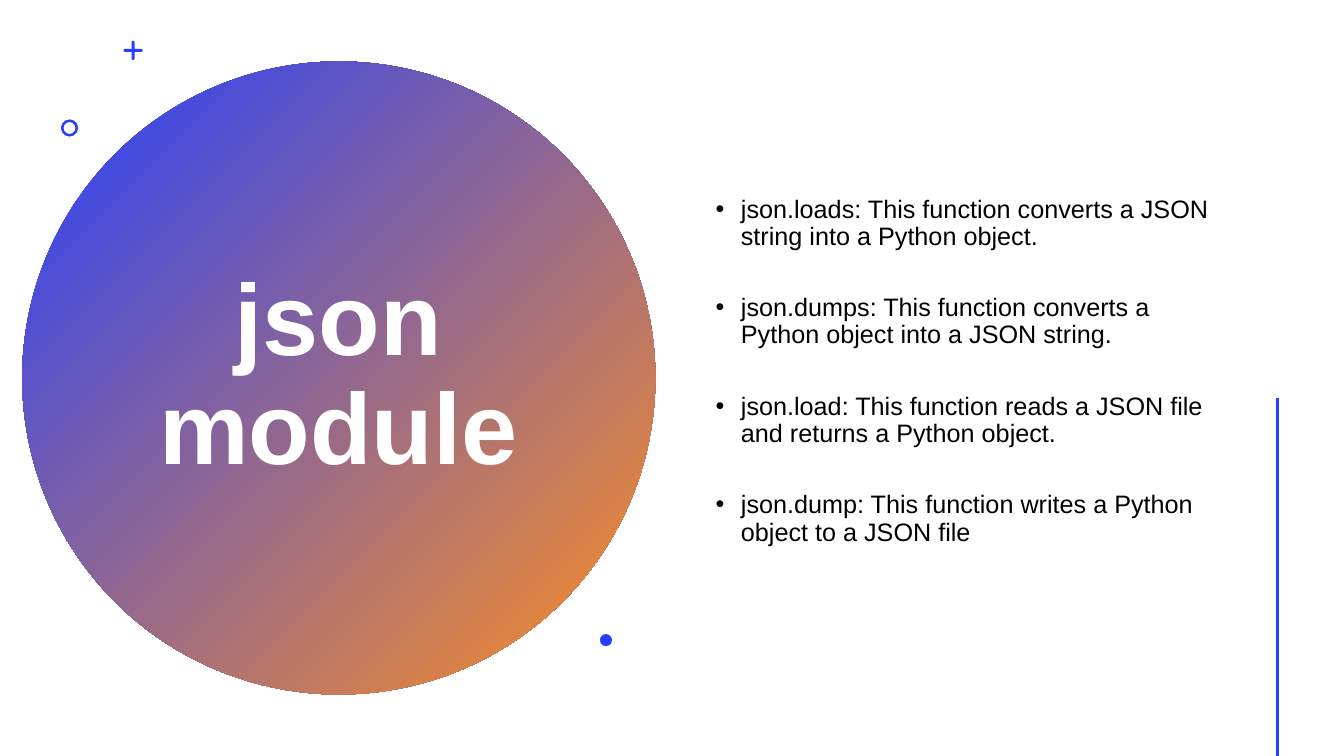
import pptx
import pptx.util
from lxml import etree
from pptx.dml.color import RGBColor
from pptx.enum.shapes import MSO_CONNECTOR, MSO_SHAPE
from pptx.enum.text import MSO_ANCHOR, PP_ALIGN
from pptx.oxml.ns import qn
from pptx.util import Inches, Pt

BLUE = RGBColor(0x24, 0x3F, 0xFF)
ORANGE = RGBColor(0xFF, 0x90, 0x22)
WHITE = RGBColor(0xFF, 0xFF, 0xFF)
BLACK = RGBColor(0, 0, 0)
FONT = "Arial"

TITLE = "json module"
FUNCTIONS = [
    "json.loads: This function converts a JSON string into a Python object.",
    "json.dumps: This function converts a Python object into a JSON string.",
    "json.load: This function reads a JSON file and returns a Python object.",
    "json.dump: This function writes a Python object to a JSON file",
]

# Preset, centre x, centre y, width, height, adjustment
PLUS_SIZE, STROKE = 0.19, 0.03
ACCENTS = [
    (MSO_SHAPE.ROUNDED_RECTANGLE, 1.32, 0.5, PLUS_SIZE, STROKE, 0.5),
    (MSO_SHAPE.ROUNDED_RECTANGLE, 1.32, 0.5, STROKE, PLUS_SIZE, 0.5),
    (MSO_SHAPE.DONUT, 0.69, 1.27, 0.17, 0.17, 0.15),
    (MSO_SHAPE.OVAL, 6.01, 6.35, 0.12, 0.12, None),
]


def add_preset(slide, preset, center_x, center_y, width, height):
    """Add an unlined, shadowless blue shape around its centre."""
    shape = slide.shapes.add_shape(
        preset, Inches(center_x - width / 2), Inches(center_y - height / 2),
        Inches(width), Inches(height))
    shape.shadow.inherit = False
    shape.fill.solid()
    shape.fill.fore_color.rgb = BLUE
    shape.line.fill.background()
    return shape


def add_text_frame(slide, left, top, width, height):
    frame = slide.shapes.add_textbox(
        Inches(left), Inches(top), Inches(width), Inches(height)).text_frame
    frame.word_wrap = True
    frame.vertical_anchor = MSO_ANCHOR.MIDDLE
    return frame


def add_run(paragraph, text, size, color, bold=False):
    paragraph.line_spacing = 0.9
    run = paragraph.add_run()
    run.text = text
    run.font.name = FONT
    run.font.size = Pt(size)
    run.font.bold = bold
    run.font.color.rgb = color


def add_bullet(paragraph):
    properties = paragraph._p.get_or_add_pPr()
    properties.set("marL", str(Inches(0.25)))
    properties.set("indent", str(Inches(-0.25)))
    etree.SubElement(properties, qn("a:buFont")).set("typeface", FONT)
    etree.SubElement(properties, qn("a:buChar")).set("char", "•")


def main():
    deck = pptx.Presentation()
    deck.slide_width, deck.slide_height = Inches(13.33), Inches(7.5)
    slide = deck.slides.add_slide(deck.slide_layouts[6])
    slide.background.fill.solid()
    slide.background.fill.fore_color.rgb = WHITE

    disc = add_preset(slide, MSO_SHAPE.OVAL, 3.36, 3.75, 6.28, 6.28)
    disc.fill.gradient()
    disc.fill.gradient_angle = 315
    for stop, color, position in zip(disc.fill.gradient_stops, (BLUE, ORANGE), (0, 1)):
        stop.color.rgb = color
        stop.position = position

    title = add_text_frame(slide, 1.36, 1.41, 3.99, 4.67).paragraphs[0]
    title.alignment = PP_ALIGN.CENTER
    add_run(title, TITLE, 72, WHITE, bold=True)

    for *placement, adjustment in ACCENTS:
        accent = add_preset(slide, *placement)
        if adjustment is not None:
            accent.adjustments[0] = adjustment

    function_list = add_text_frame(slide, 7, 0.42, 5.12, 6.53)
    for index, description in enumerate(FUNCTIONS):
        item = function_list.add_paragraph() if index else function_list.paragraphs[0]
        add_bullet(item)
        if index:
            item.space_before = Pt(31.5)
        add_run(item, description, 18, BLACK)

    edge_line = slide.shapes.add_connector(
        MSO_CONNECTOR.STRAIGHT, Inches(12.67), Inches(3.95), Inches(12.67), Inches(7.5))
    edge_line.line.color.rgb = BLUE
    edge_line.line.width = Pt(2)
    etree.SubElement(edge_line._element.spPr, qn("a:effectLst"))

    deck.save("out.pptx")


if __name__ == "__main__":
    main()
